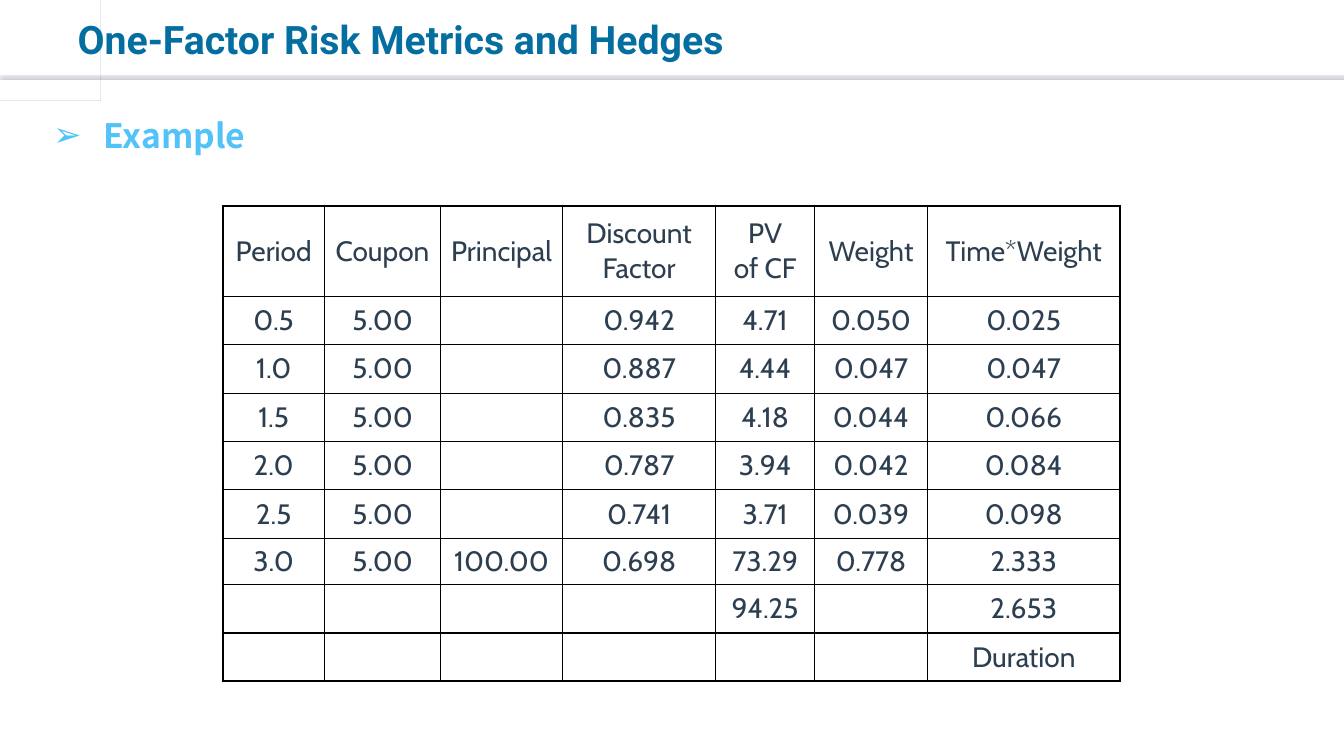
from dataclasses import dataclass

from lxml import etree
from pptx import Presentation, util as u
from pptx.dml.color import RGBColor
from pptx.enum import shapes, text
from pptx.oxml import ns

COLORS = {
    "title": "056EA0",
    "bullet": "51C3F9",
    "cell": "2C3E50",
    "border": "000000",
    "paper": "FFFFFF",
    "shadow": "BCB4C4",
}


@dataclass
class Style:
    font: str
    size: float
    color: str
    bold: bool = False


@dataclass
class Column:
    heading: str
    width: float
    values: list[str]


TITLE = Style("Roboto", 28, "title", True)
TOPIC = Style("Noto Sans CJK SC", 24, "bullet", True)
CELL = Style("Cabin", 20, "cell")

COLUMNS = [
    Column("Period", 1.01, ["0.5", "1.0", "1.5", "2.0", "2.5", "3.0", "", ""]),
    Column("Coupon", 1.15, ["5.00"] * 6 + [""] * 2),
    Column("Principal", 1.21, [""] * 5 + ["100.00", "", ""]),
    Column("Discount\vFactor", 1.52,
           ["0.942", "0.887", "0.835", "0.787", "0.741", "0.698", "", ""]),
    Column("PV\nof CF", 0.98,
           ["4.71", "4.44", "4.18", "3.94", "3.71", "73.29", "94.25", ""]),
    Column("Weight", 1.12,
           ["0.050", "0.047", "0.044", "0.042", "0.039", "0.778", "", ""]),
    Column("Time*Weight", 1.91,
           ["0.025", "0.047", "0.066", "0.084", "0.098", "2.333", "2.653", "Duration"]),
]
ROW_HEIGHTS = [0.9] + [0.48] * 5 + [0.46] + [0.48] * 2

# Book icon: outer outline, then the openings cut out of it
BOOK = [
    [(0.21, 0.16), (0.35, 0.22), (0.44, 0.2), (0.56, 0.2), (0.58, 0.22), (0.58, 0.56),
     (0.56, 0.58), (0.14, 0.58), (0.12, 0.56), (0.12, 0.22), (0.14, 0.2), (0.18, 0.2),
     (0.18, 0.18), (0.19, 0.16)],
    [(0.22, 0.21), (0.22, 0.49), (0.33, 0.53), (0.33, 0.25)],
    [(0.16, 0.24), (0.16, 0.54), (0.25, 0.54), (0.19, 0.52), (0.18, 0.5), (0.18, 0.24)],
    [(0.39, 0.25), (0.37, 0.25), (0.37, 0.53), (0.41, 0.52), (0.39, 0.48), (0.42, 0.45),
     (0.39, 0.41), (0.42, 0.37), (0.39, 0.33), (0.42, 0.29), (0.39, 0.26)],
    [(0.46, 0.24), (0.44, 0.26), (0.47, 0.29), (0.44, 0.33), (0.47, 0.37), (0.44, 0.41),
     (0.47, 0.45), (0.44, 0.48), (0.47, 0.52), (0.45, 0.54), (0.54, 0.54), (0.54, 0.24)],
]
# Three text lines on the left page
BOOK += [[(0.25, y), (0.27, y), (0.31, y + 0.03), (0.3, y + 0.05), (0.25, y + 0.03),
          (0.24, y + 0.01)] for y in (0.26, 0.33, 0.41)]


def rgb(name: str) -> RGBColor:
    return RGBColor.from_string(COLORS[name])


def sub(parent, tag: str, **attrs):
    return etree.SubElement(parent, ns.qn(tag), attrs)


def format_runs(p, style: Style) -> None:
    for r in p.runs:
        r.font.name = style.font
        r.font.size = u.Pt(style.size)
        r.font.bold = style.bold
        r.font.color.rgb = rgb(style.color)


def place(sp, left: float, top: float, width: float, height: float) -> None:
    sp.left, sp.top = u.Inches(left), u.Inches(top)
    sp.width, sp.height = u.Inches(width), u.Inches(height)


def add_header_rule(s) -> None:
    y = u.Inches(0.73)
    line = s.shapes.add_connector(shapes.MSO_CONNECTOR.STRAIGHT, 0, y, u.Inches(13.33), y)
    line.line.color.rgb = rgb("paper")
    line.line.width = u.Pt(0.75)
    effects = sub(line._element.spPr, "a:effectLst")
    shadow = sub(effects, "a:outerShdw", blurRad=str(u.Pt(1)), dist=str(u.Pt(3)),
                 dir="5400000", algn="t", rotWithShape="0")
    sub(shadow, "a:srgbClr", val=COLORS["shadow"])


def add_book(s) -> None:
    scale = u.Inches(1)
    fb = s.shapes.build_freeform(*BOOK[0][0], scale=scale)
    for i, outline in enumerate(BOOK):
        if i:
            fb.move_to(*outline[0])
        fb.add_line_segments(outline[1:], close=True)
    sp = fb.convert_to_shape()
    sp.shadow.inherit = False
    sp.fill.solid()
    sp.fill.fore_color.rgb = rgb("title")
    sp.line.fill.background()


def set_borders(cell, widths: dict[str, float]) -> None:
    tcPr = cell._tc.get_or_add_tcPr()
    for side, width in widths.items():
        ln = sub(tcPr, f"a:ln{side}", w=str(u.Pt(width)))
        sub(sub(ln, "a:solidFill"), "a:srgbClr", val=COLORS["border"])


def add_cash_flow_table(s) -> None:
    n_rows, n_cols = len(ROW_HEIGHTS), len(COLUMNS)
    frame = s.shapes.add_table(n_rows, n_cols, u.Inches(2.21), u.Inches(2.04),
                               u.Inches(8.9), u.Inches(sum(ROW_HEIGHTS)))
    table = frame.table
    table.first_row = table.horz_banding = False
    for row, height in zip(table.rows, ROW_HEIGHTS):
        row.height = u.Inches(height)
    for c, column in enumerate(COLUMNS):
        table.columns[c].width = u.Inches(column.width)
        for r, value in enumerate([column.heading] + column.values):
            cell = table.cell(r, c)
            edges = {"L": c == 0, "R": c == n_cols - 1, "T": r == 0, "B": r == n_rows - 1}
            set_borders(cell, {side: 1.5 if outer else 1 for side, outer in edges.items()})
            cell.fill.solid()
            cell.fill.fore_color.rgb = rgb("paper")
            cell.margin_left = cell.margin_right = u.Inches(0.04)
            cell.margin_top = cell.margin_bottom = u.Inches(0.04)
            cell.vertical_anchor = text.MSO_ANCHOR.MIDDLE
            cell.text_frame.text = value
            for p in cell.text_frame.paragraphs:
                p.alignment = text.PP_ALIGN.CENTER
                format_runs(p, CELL)


def main() -> None:
    prs = Presentation()
    prs.slide_width, prs.slide_height = u.Inches(13.33), u.Inches(7.5)
    s = prs.slides.add_slide(prs.slide_layouts[1])

    # Header
    add_header_rule(s)
    add_book(s)
    title = s.shapes.title
    place(title, 0.67, 0.07, 7.36, 0.63)
    tf = title.text_frame
    tf.text = "One-Factor Risk Metrics and Hedges"
    tf.vertical_anchor = text.MSO_ANCHOR.MIDDLE
    tf.paragraphs[0].alignment = text.PP_ALIGN.LEFT
    format_runs(tf.paragraphs[0], TITLE)

    # Topic bullet
    body = s.placeholders[1]
    place(body, 0.43, 0.89, 12.47, 6.19)
    body.text_frame.text = "Example"
    p = body.text_frame.paragraphs[0]
    p.line_spacing = 1.5
    p.space_before = u.Pt(0)
    pPr = p._p.get_or_add_pPr()
    pPr.set("marL", str(u.Inches(0.5)))
    pPr.set("indent", str(-u.Inches(0.5)))
    sub(pPr, "a:buChar", char="➢")
    format_runs(p, TOPIC)

    # Cash flows and duration
    add_cash_flow_table(s)
    prs.save("out.pptx")


if __name__ == "__main__":
    main()
